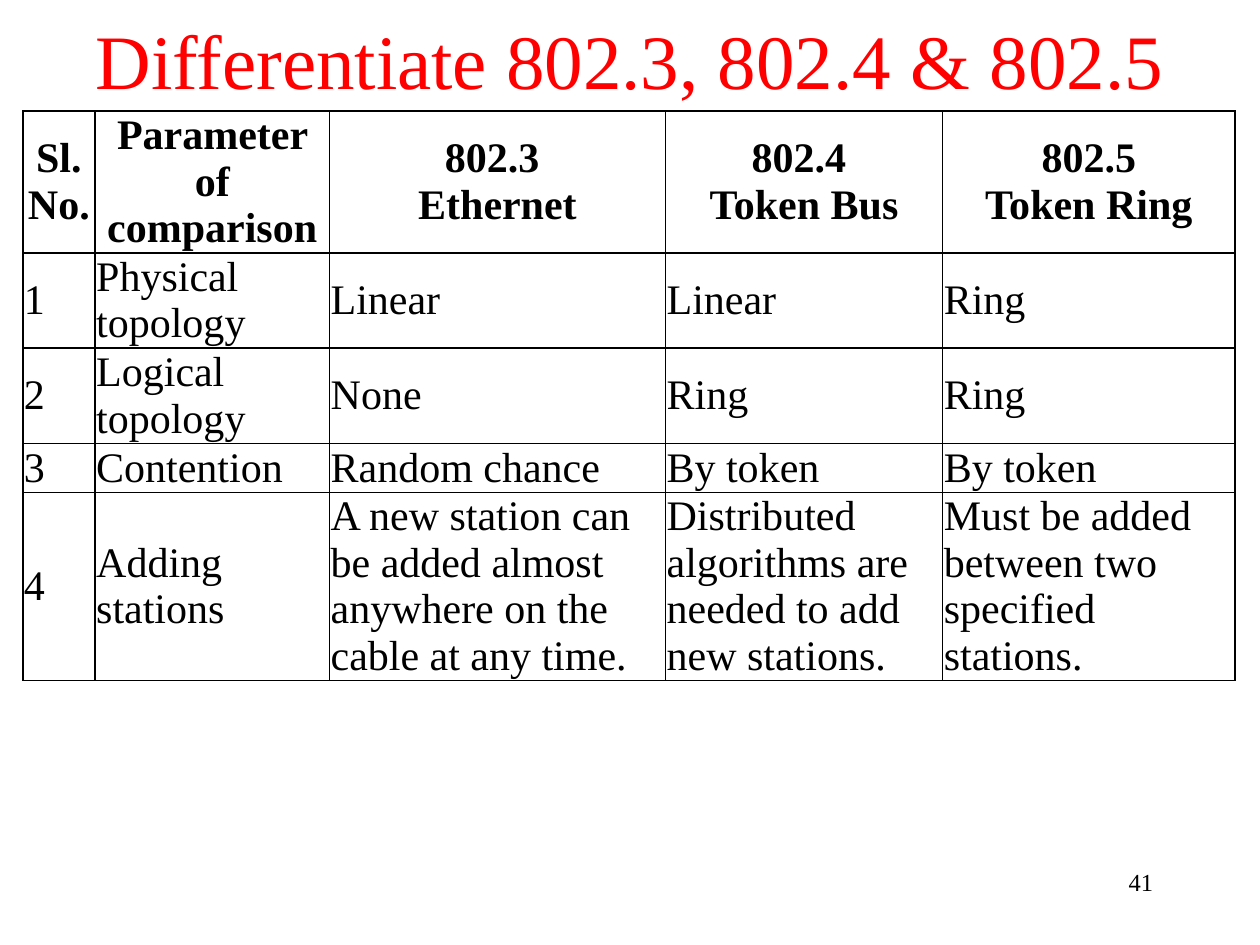
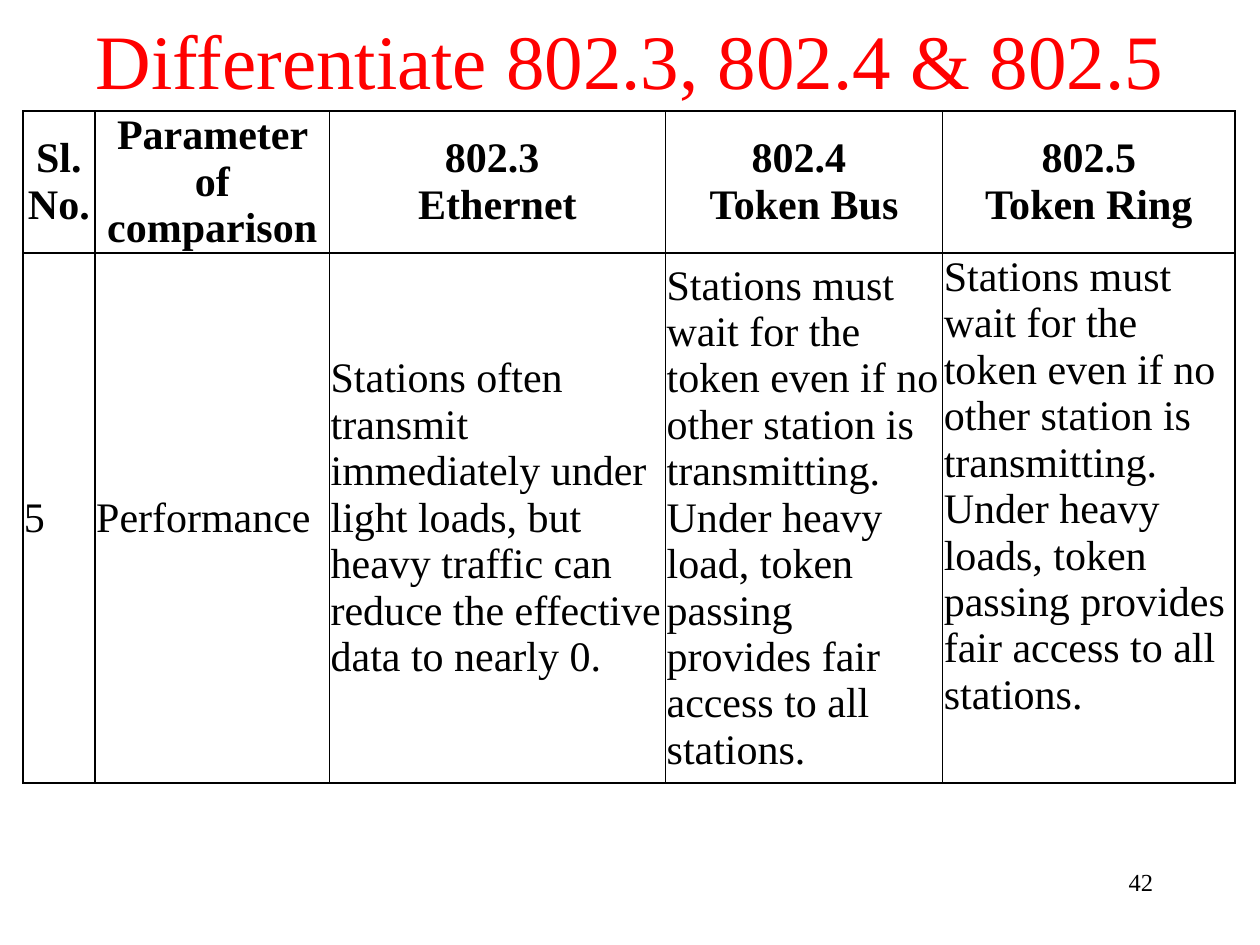
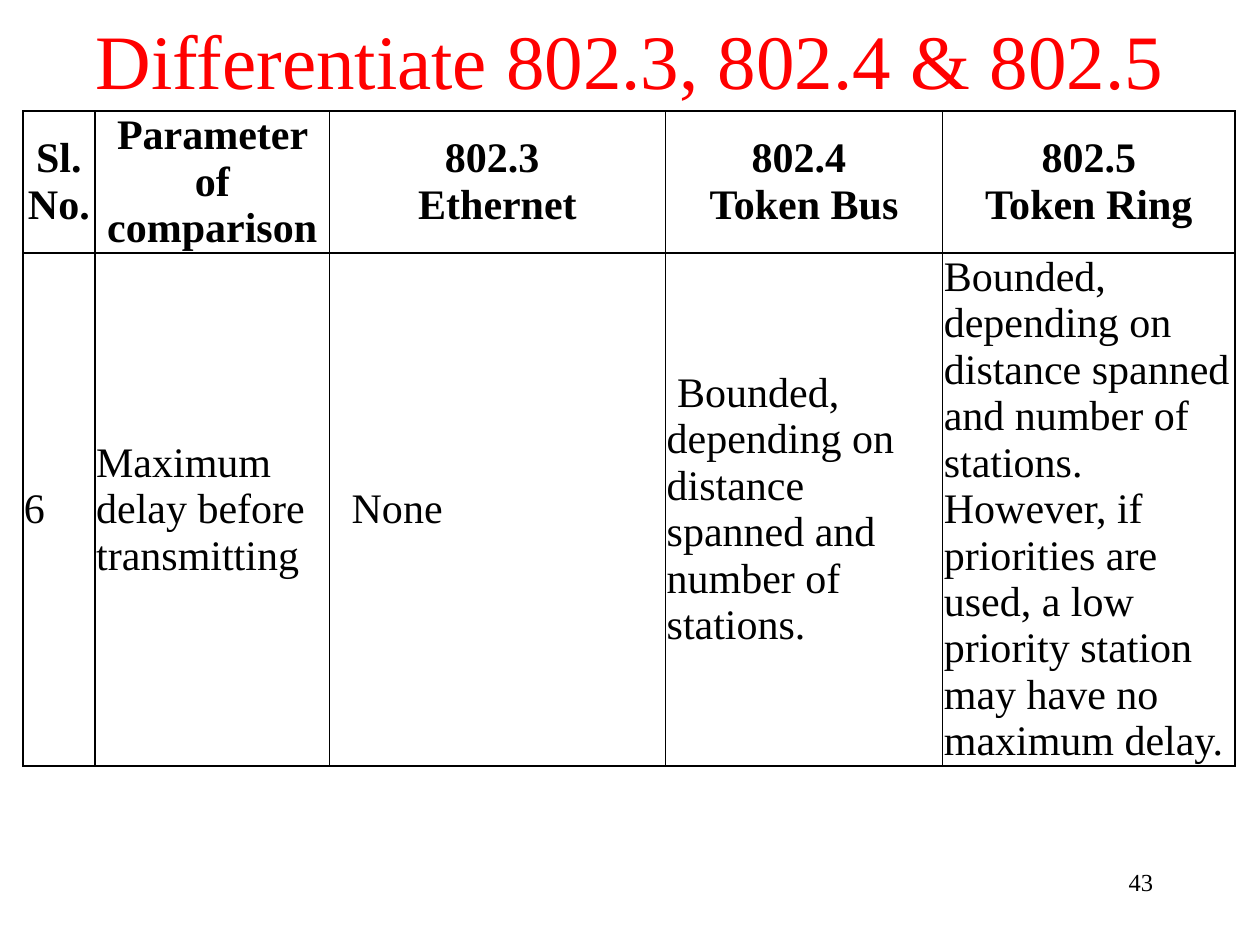
from lxml.etree import SubElement
from pptx import Presentation
from pptx.dml.color import RGBColor
from pptx.enum.text import MSO_ANCHOR as Anchor, MSO_AUTO_SIZE as AutoSize, PP_ALIGN as Align
from pptx.oxml.ns import qn
from pptx.util import Pt

# Shared style
RED = RGBColor(0xFF, 0x00, 0x00)
BLACK = RGBColor(0x00, 0x00, 0x00)
FONT = "Times New Roman"
TITLE = "Differentiate 802.3, 802.4 & 802.5"
TITLE_LAYOUT = 5

# Boxes: left, top, width, height in points
TITLE_BOX = (0, 6, 720, 55)
NUMBER_BOX = (516, 492, 150, 36)
TABLE_LEFT, TABLE_TOP = 13, 63.5
COLUMN_WIDTHS = (41.3, 134, 192, 158.4, 167)
HEADER_HEIGHT = 80.6
HEADER = ("Sl. No.", "Parameter of comparison", "802.3 \nEthernet",
          "802.4 \nToken Bus", "802.5 Token\u00a0Ring")

# Each page: number, row heights, rows, and cells that differ from the rule
PAGES = [
    dict(number=41, heights=(53.7, 53.7, 27.4, 107.4), rows=[
        ("1", "Physical topology", "Linear", "Linear", "Ring"),
        ("2", "Logical topology", "None", "Ring", "Ring"),
        ("3", "Contention", "Random chance", "By token", "By token"),
        ("4", "Adding stations",
         "A new station can be added almost anywhere on the cable at any time.",
         "Distributed algorithms are needed to add new stations.",
         "Must be added between two specified stations."),
    ]),
    dict(number=42, heights=(303,), top_cells=[(1, 4)], rows=[
        ("5", "Performance",
         "Stations often transmit immediately under light loads, but heavy "
         "traffic can reduce the effective data to nearly 0.",
         "Stations must wait for the token even if no other station is transmitting. "
         "Under heavy load, token passing provides fair access to all stations.",
         "Stations must wait for the token even if no other station is transmitting. "
         "Under heavy loads, token passing provides fair access to all stations."),
    ]),
    dict(number=43, heights=(293,), indents={(1, 2): 12, (1, 3): 6}, rows=[
        ("6", "Maximum delay before transmitting", "None",
         "Bounded, depending on distance spanned and number of stations.",
         "Bounded, depending on distance spanned and number of stations. However, if "
         "priorities are used, a low priority station may have no maximum delay."),
    ]),
]


def style_paragraph(paragraph, size, color=BLACK, align=Align.LEFT, bold=False):
    paragraph.alignment = align
    font = paragraph.font
    font.name, font.size, font.bold = FONT, Pt(size), bold
    font.color.rgb = color


def add_borders(cell):
    properties = cell._tc.get_or_add_tcPr()
    for side in ("a:lnL", "a:lnR", "a:lnT", "a:lnB"):
        line = SubElement(properties, qn(side), w=str(Pt(1)))
        fill = SubElement(line, qn("a:solidFill"))
        SubElement(fill, qn("a:srgbClr"), val=str(BLACK))


def add_title(slide, box):
    title = slide.shapes.title
    title.left, title.top, title.width, title.height = map(Pt, box)
    frame = title.text_frame
    frame.text = TITLE
    frame.auto_size = AutoSize.NONE
    frame.vertical_anchor = Anchor.MIDDLE
    style_paragraph(frame.paragraphs[0], 44, RED, Align.CENTER)


def add_page_number(slide, box, number):
    frame = slide.shapes.add_textbox(*map(Pt, box)).text_frame
    frame.word_wrap = True
    frame.text = str(number)
    style_paragraph(frame.paragraphs[0], 14, align=Align.RIGHT)


def fill_cell(cell, text, header, anchor, indent):
    add_borders(cell)
    cell.fill.background()
    cell.margin_left = cell.margin_right = cell.margin_top = cell.margin_bottom = Pt(0.7)
    cell.vertical_anchor = anchor
    cell.text_frame.text = text
    for paragraph in cell.text_frame.paragraphs:
        style_paragraph(paragraph, 24, align=Align.CENTER if header else Align.LEFT, bold=header)
        if indent:
            paragraph._p.get_or_add_pPr().set("indent", str(Pt(indent)))


def add_comparison(slide, left, top, heights, rows, top_cells=(), indents={}):
    rows = [HEADER, *rows]
    heights = (HEADER_HEIGHT, *heights)
    box = (left, top, sum(COLUMN_WIDTHS), sum(heights))
    table = slide.shapes.add_table(len(rows), len(HEADER), *map(Pt, box)).table
    table.first_row = table.horz_banding = False
    for column, width in zip(table.columns, COLUMN_WIDTHS):
        column.width = Pt(width)
    for row, height in zip(table.rows, heights):
        row.height = Pt(height)
    for i, texts in enumerate(rows):
        for j, text in enumerate(texts):
            anchor = Anchor.TOP if (i, j) in top_cells else Anchor.MIDDLE
            fill_cell(table.cell(i, j), text, i == 0, anchor, indents.get((i, j)))


def add_page(presentation, number, **comparison):
    slide = presentation.slides.add_slide(presentation.slide_layouts[TITLE_LAYOUT])
    add_title(slide, TITLE_BOX)
    add_comparison(slide, TABLE_LEFT, TABLE_TOP, **comparison)
    add_page_number(slide, NUMBER_BOX, number)


presentation = Presentation()
presentation.slide_width, presentation.slide_height = Pt(720), Pt(540)
for page in PAGES:
    add_page(presentation, **page)
presentation.save("out.pptx")
